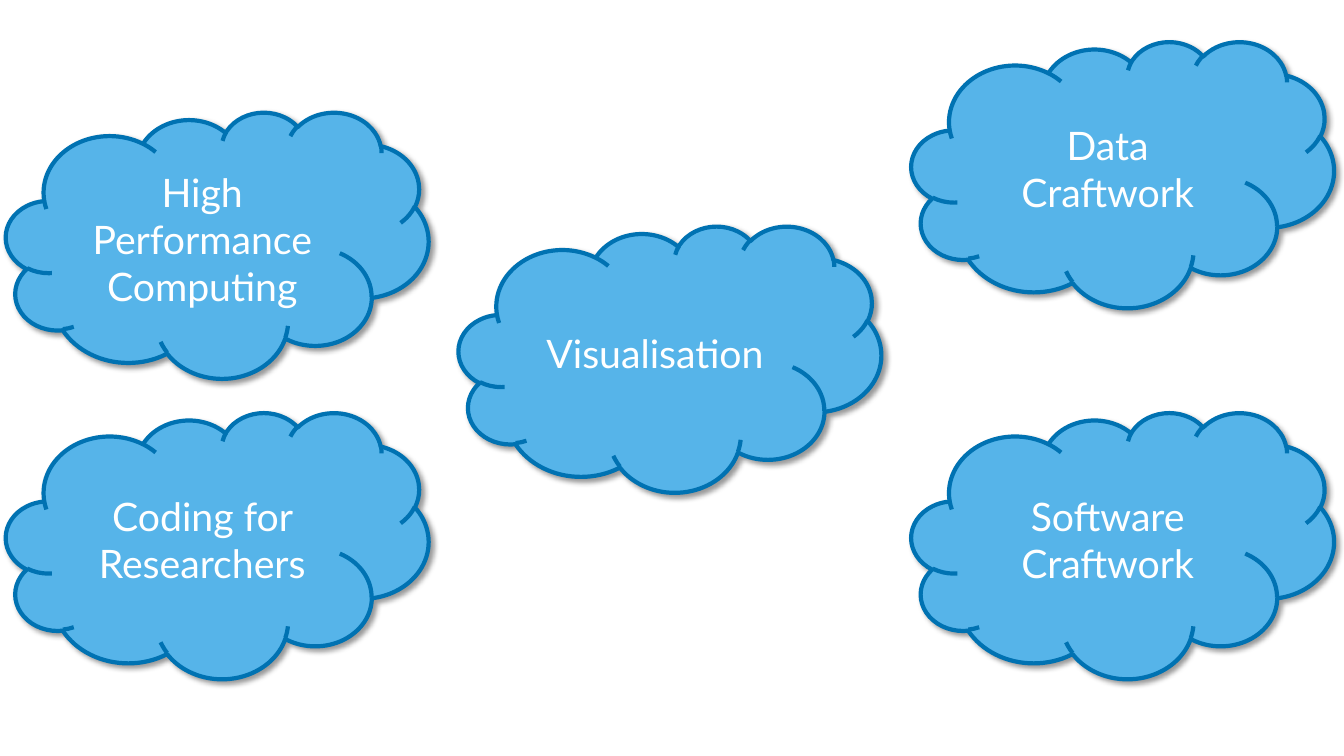
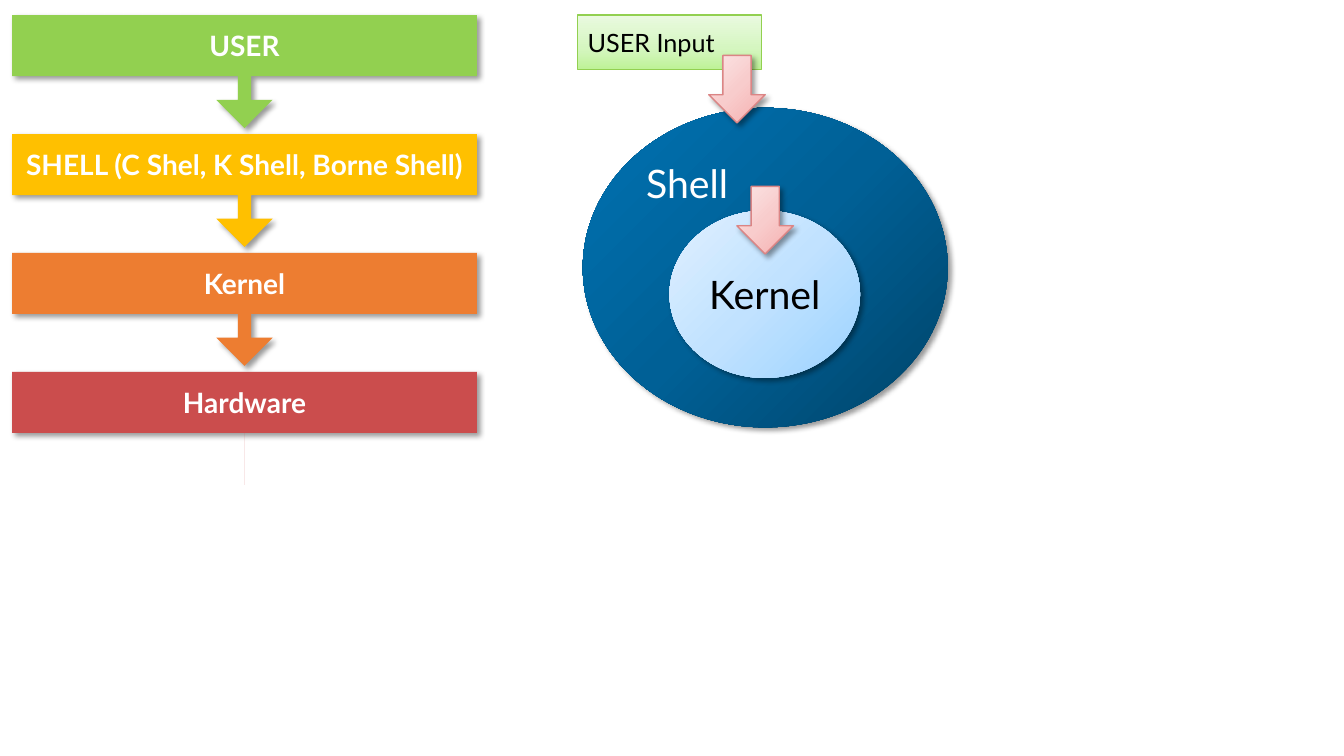
from pptx import Presentation
from pptx.dml.color import RGBColor
from pptx.enum.shapes import MSO_SHAPE
from pptx.enum.text import MSO_ANCHOR, PP_ALIGN
from pptx.oxml import parse_xml
from pptx.oxml.ns import nsdecls, qn
from pptx.util import Inches, Pt

FONT = "Lato"
WHITE, BLACK = "FFFFFF", "000000"
SKY, BLUE = "56B4E9", "0072B2"
GREEN, AMBER, ORANGE, RED = "92D050", "FFC000", "ED7D31", "CB4D4D"
ROSE_LINE = "DB8585"

# Gradients: angle in degrees, then (position in percent, colour) stops
MINT = (270, [(0, "BEF297"), (39, "D5F6C0"), (100, "EAFAE0")])
DEEP_BLUE = (225, [(0, "004469"), (50, "006096"), (100, BLUE)])
PALE_BLUE = (225, [(0, "9CD3FF"), (50, "C1E2FF"), (100, "E0F0FF")])
ROSE = (225, [(0, "F6ADAD"), (50, "F8CCCC"), (100, "FBE6E6")])

SHADOW = (f'<a:outerShdw {nsdecls("a")} blurRad="{Pt(4)}" dist="{Pt(3)}" '
          f'dir="{45 * 60000}" algn="tl" rotWithShape="0">'
          f'<a:srgbClr val="{BLACK}"><a:alpha val="40000"/></a:srgbClr></a:outerShdw>')

prs = Presentation()
prs.slide_width, prs.slide_height = Inches(13.33), Inches(7.5)
blank = prs.slide_layouts[6]


def rgb(code):
    """Turn a hex string into a colour."""
    return RGBColor.from_string(code)


def add_block(slide, kind, box, fill, line=None, shadow=True, text="", size=28,
              color=WHITE, bold=False, align=PP_ALIGN.CENTER, anchor=MSO_ANCHOR.MIDDLE):
    """Add a shape with a plain or gradient fill, an outline, a shadow and a label."""
    sp = slide.shapes.add_shape(kind, *(Inches(v) for v in box))
    spPr = sp._element.spPr
    if isinstance(fill, str):
        sp.fill.solid()
        sp.fill.fore_color.rgb = rgb(fill)
    else:
        angle, stops = fill
        gs = "".join(f'<a:gs pos="{pos * 1000}"><a:srgbClr val="{code}"/></a:gs>'
                     for pos, code in stops)
        spPr.insert(2, parse_xml(
            f'<a:gradFill {nsdecls("a")} rotWithShape="1"><a:gsLst>{gs}</a:gsLst>'
            f'<a:lin ang="{angle * 60000}" scaled="0"/></a:gradFill>'))
    if line:
        code, width = line
        sp.line.color.rgb = rgb(code)
        sp.line.width = Pt(width)
    else:
        sp.line.fill.background()
    sp.shadow.inherit = False
    if shadow:
        spPr.find(qn("a:effectLst")).append(parse_xml(SHADOW))
    if text:
        tf = sp.text_frame
        tf.word_wrap, tf.vertical_anchor = True, anchor
        p = tf.paragraphs[0]
        p.alignment = align
        r = p.add_run()
        r.text = text
        for name, value in dict(name=FONT, size=Pt(size), bold=bold).items():
            setattr(r.font, name, value)
        r.font.color.rgb = rgb(color)
    return sp


# Slide 1: training topics in three columns of clouds
slide = prs.slides.add_slide(blank)
cloud_w, cloud_h = 4.19, 2.64
left, middle, right = (0.06 + 4.49 * i for i in range(3))
lower = 4.09
clouds = [
    ("High Performance Computing", left, 1.11),
    ("Visualisation", middle, 2.24),
    ("Coding for Researchers", left, lower),
    ("Software Craftwork", right, lower),
    ("Data Craftwork", right, 0.41),
]
for topic, x, y in clouds:
    add_block(slide, MSO_SHAPE.CLOUD, (x, y, cloud_w, cloud_h), SKY,
              line=(BLUE, 3), text=topic)

# Slide 2: layers of the system, as a stack and as nested circles
slide = prs.slides.add_slide(blank)
top, step = 0.15, 1.18
layers = [
    ("USER", GREEN),
    ("SHELL (C Shel, K Shell, Borne Shell)", AMBER),
    ("Kernel", ORANGE),
    ("Hardware", RED),
]
for i, (layer, fill) in enumerate(layers):
    sp = add_block(slide, MSO_SHAPE.DOWN_ARROW_CALLOUT, (0.12, top + step * i, 4.61, 1.12),
                   fill, text=layer, size=20, bold=True)
    arrow = (0, 0) if i == len(layers) - 1 else (0.118, 0.25)
    for j, value in enumerate((*arrow, 0.25, 0.54)):
        sp.adjustments[j] = value

add_block(slide, MSO_SHAPE.RECTANGLE, (5.73, top, 1.82, 0.54), MINT, line=(GREEN, 1),
          shadow=False, text="USER Input", size=18, color=BLACK, align=PP_ALIGN.LEFT)
add_block(slide, MSO_SHAPE.OVAL, (5.78, 1.07, 3.62, 3.17), DEEP_BLUE, text="Shell",
          align=PP_ALIGN.LEFT, anchor=MSO_ANCHOR.TOP)
add_block(slide, MSO_SHAPE.OVAL, (6.64, 2.09, 1.89, 1.66), PALE_BLUE, text="Kernel",
          color=BLACK)
for x, y in [(7.03, 0.55), (7.31, 1.85)]:
    add_block(slide, MSO_SHAPE.DOWN_ARROW, (x, y, 0.56, 0.67), ROSE, line=(ROSE_LINE, 1))

prs.save("out.pptx")
